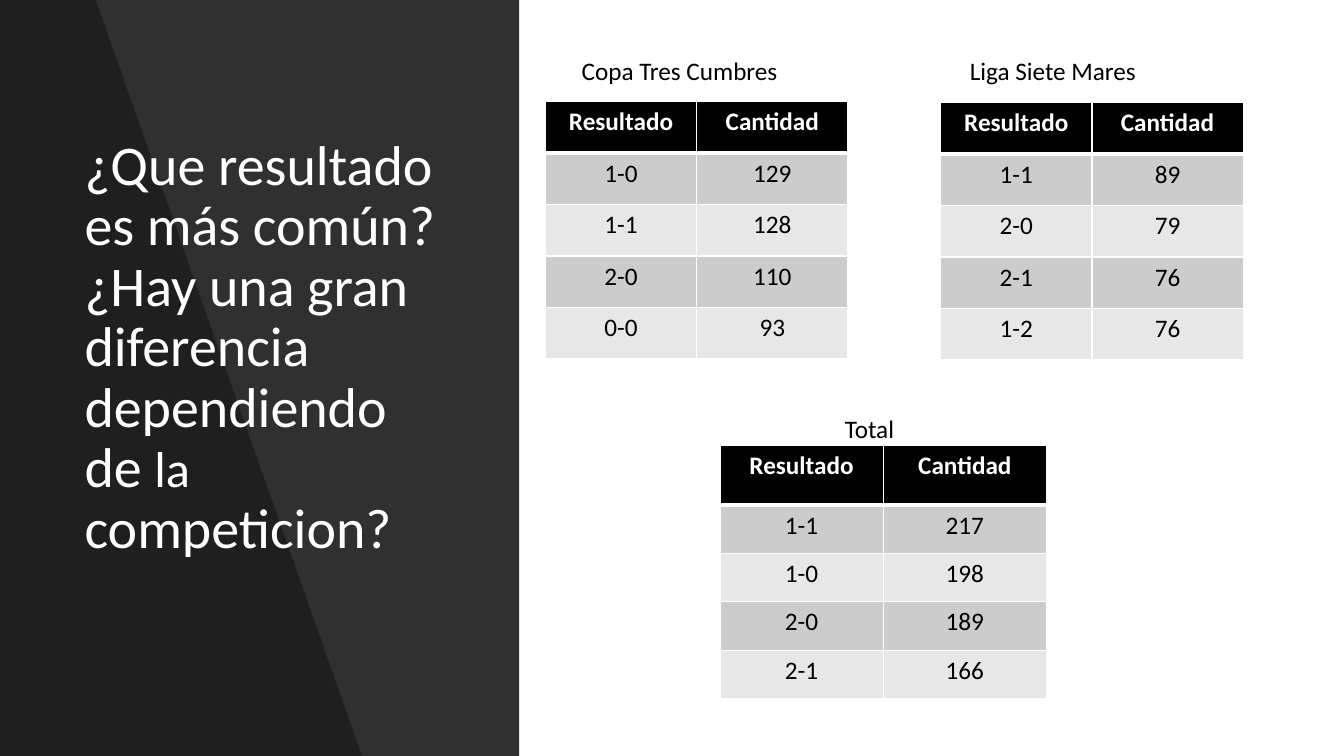
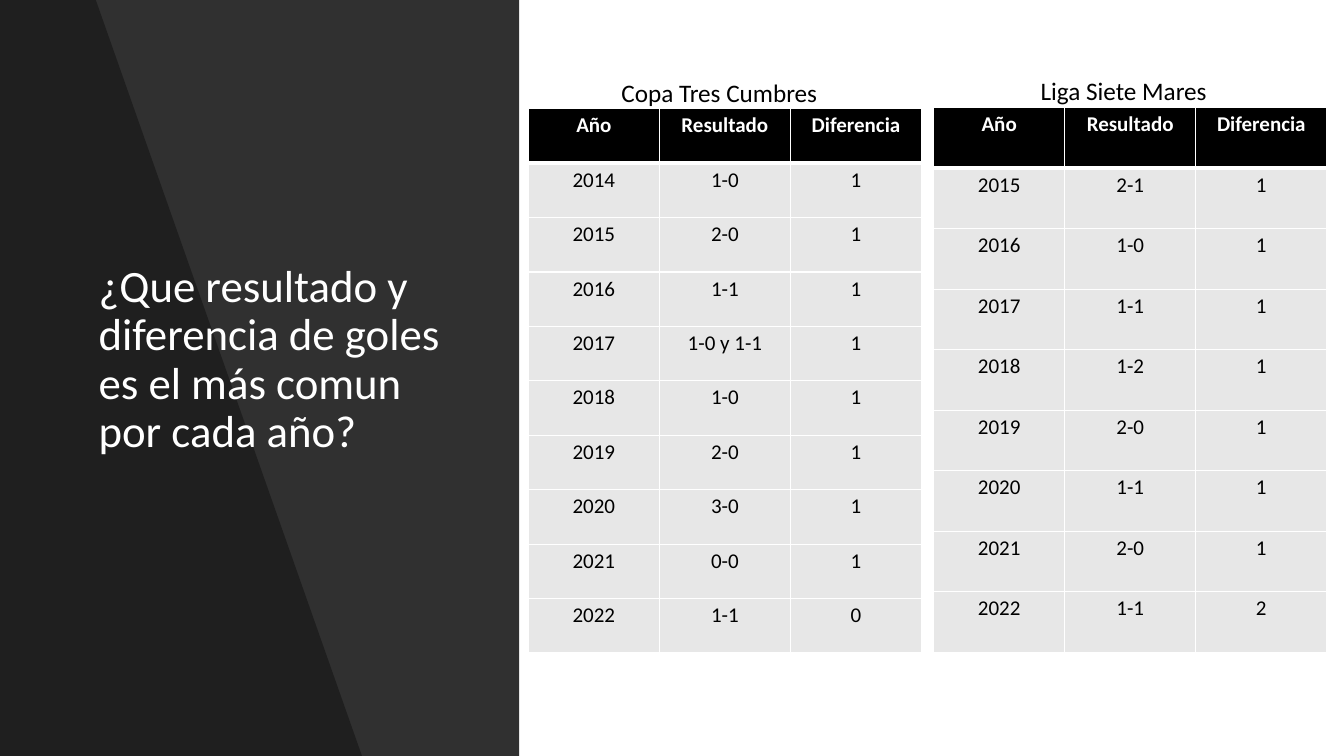
"""Build two slides on the most common football results."""
import dataclasses

import lxml.etree
import pptx
import pptx.dml.color
import pptx.enum.shapes
import pptx.enum.text
import pptx.oxml.ns
import pptx.util

PX = 9144
CUP = "Copa Tres Cumbres"
LEAGUE = "Liga Siete Mares"
RGB = pptx.dml.color.RGBColor.from_string
ALIGN = pptx.enum.text.PP_ALIGN
ANCHOR = pptx.enum.text.MSO_ANCHOR
qn = pptx.oxml.ns.qn


@dataclasses.dataclass(frozen=True)
class Theme:
    """Colours and type sizes of the deck."""
    font: str = "Calibri"
    black: str = "000000"
    white: str = "FFFFFF"
    band_dark: str = "CCCCCC"
    band_light: str = "E7E7E7"
    title: int = 40
    title_small: int = 36
    title_long: int = 32
    body: int = 18
    compact: int = 15
    rule: int = 1
    header_rule: int = 3
    panel_opacity: int = 81
    wedge_opacity: int = 35


def write(tf, text, *, size, color, font, bold=False, align=ALIGN.LEFT, spacing=1.0):
    """Append formatted text to the first paragraph, breaking lines at newlines."""
    p = tf.paragraphs[0]
    p.alignment = align
    p.line_spacing = spacing
    for i, line in enumerate(text.split("\n")):
        if i:
            p.add_line_break()
        r = p.add_run()
        r.text = line
        r.font.name = font
        r.font.size = pptx.util.Pt(size)
        r.font.bold = bold
        r.font.color.rgb = RGB(color)


class Deck:
    """Hold the presentation, its style and the current slide."""

    def __init__(self, width, height, theme):
        """Start an empty presentation of the given size."""
        self.t = theme
        self.width, self.height = width, height
        self.prs = pptx.Presentation()
        self.prs.slide_width = width * PX
        self.prs.slide_height = height * PX
        self.s = None

    def slide(self):
        """Add a slide with the dark side panel."""
        self.s = self.prs.slides.add_slide(self.prs.slide_layouts[6])
        panel = self.s.shapes.add_shape(
            pptx.enum.shapes.MSO_SHAPE.RECTANGLE, 0, 0, 515 * PX, self.height * PX)
        self.shade(panel, self.t.panel_opacity)
        fb = self.s.shapes.build_freeform(0, 0, scale=PX)
        fb.add_line_segments([(95, 0), (359, self.height), (0, self.height)])
        self.shade(fb.convert_to_shape(), self.t.wedge_opacity)

    def shade(self, sp, opacity):
        """Fill a shape with translucent black and no outline."""
        sp.shadow.inherit = False
        sp.line.fill.background()
        sp.fill.solid()
        sp.fill.fore_color.rgb = RGB(self.t.black)
        clr = sp.fill._xPr.find(".//" + qn("a:srgbClr"))
        lxml.etree.SubElement(clr, qn("a:alpha"), val=str(opacity * 1000))

    def text_box(self, x, y, w, h, anchor=ANCHOR.TOP):
        """Add a wrapping text box and return its text frame."""
        tf = self.s.shapes.add_textbox(x * PX, y * PX, w * PX, h * PX).text_frame
        tf.word_wrap = True
        tf.vertical_anchor = anchor
        return tf

    def title(self, x, y, w, h, runs, anchor=ANCHOR.TOP):
        """Add the white title made of (text, size) runs."""
        tf = self.text_box(x, y, w, h, anchor)
        for text, size in runs:
            write(tf, text, size=size, color=self.t.white, font=self.t.font, spacing=0.9)

    def caption(self, x, y, w, text, align=ALIGN.LEFT):
        """Add the name above a table."""
        write(self.text_box(x, y, w, 40), text, size=self.t.body,
              color=self.t.black, font=self.t.font, align=align)

    def borders(self, cell, top, bottom):
        """Draw the white rules around a cell."""
        tc_pr = cell._tc.get_or_add_tcPr()
        widths = {"L": self.t.rule, "R": self.t.rule, "T": top, "B": bottom}
        for i, (side, width) in enumerate(widths.items()):
            ln = lxml.etree.Element(qn("a:ln" + side), w=str(pptx.util.Pt(width)))
            fill = lxml.etree.SubElement(ln, qn("a:solidFill"))
            lxml.etree.SubElement(fill, qn("a:srgbClr"), val=self.t.white)
            tc_pr.insert(i, ln)

    def table(self, x, y, col, row, data, *, size, bands, header=None, inset=(10, 5)):
        """Add a table with a black header and body rows cycling through bands."""
        t = self.t
        heights = [header or row] + [row] * (len(data) - 1)
        cols = len(data[0])
        tbl = self.s.shapes.add_table(len(data), cols, x * PX, y * PX,
                                      cols * col * PX, sum(heights) * PX).table
        tbl.horz_banding = False
        for column in tbl.columns:
            column.width = col * PX
        for i, (values, height) in enumerate(zip(data, heights)):
            tbl.rows[i].height = height * PX
            head = i == 0
            for j, value in enumerate(values):
                cell = tbl.cell(i, j)
                cell.margin_left = cell.margin_right = inset[0] * PX
                cell.margin_top = cell.margin_bottom = inset[1] * PX
                cell.fill.solid()
                cell.fill.fore_color.rgb = RGB(t.black if head else bands[(i - 1) % len(bands)])
                self.borders(cell, t.header_rule if i == 1 else t.rule,
                             t.header_rule if head else t.rule)
                write(cell.text_frame, value, size=size, font=t.font, bold=head,
                      color=t.white if head else t.black, align=ALIGN.CENTER)


def common_results(deck):
    """Build the slide of the most common results."""
    t = deck.t
    deck.slide()
    deck.title(74, 131, 368, 489, [
        ("¿Que resultado es más común?\n¿Hay una gran diferencia dependiendo de ", t.title),
        ("la", t.title_small),
        (" competicion?", t.title)])
    head = ("Resultado", "Cantidad")
    cup = [("1-0", "129"), ("1-1", "128"), ("2-0", "110"), ("0-0", "93")]
    league = [("1-1", "89"), ("2-0", "79"), ("2-1", "76"), ("1-2", "76")]
    total = [("1-1", "217"), ("1-0", "198"), ("2-0", "189"), ("2-1", "166")]
    for name, cap_x, cap_y, x, y, col, row, header, rows in (
            (CUP, 567, 50, 541, 101, 150, 51, 51, cup),
            (LEAGUE, 952, 50, 933, 102, 150, 51, 51, league),
            ("Total", 828, 405, 714, 442, 162, 48, 59, total)):
        deck.table(x, y, col, row, [head] + rows, size=t.body, header=header,
                   bands=(t.band_dark, t.band_light))
        deck.caption(cap_x, cap_y, 248, name)


def results_by_year(deck):
    """Build the slide of the most common result of each year."""
    t = deck.t
    deck.slide()
    deck.title(88, 70, 370, 575, [
        ("¿Que resultado y\ndiferencia de goles\nes el más comun\npor cada año?", t.title_long)],
        anchor=ANCHOR.MIDDLE)
    head = ("Año", "Resultado", "Diferencia")
    cup = (2014, ["1-0", "2-0", "1-1", "1-0 y 1-1", "1-0", "2-0", "3-0", "0-0", "1-1"],
           "111111110")
    league = (2015, ["2-1", "1-0", "1-1", "1-2", "2-0", "1-1", "2-0", "1-1"], "11111112")
    for name, cap_x, cap_y, x, y, row, (first, results, gaps) in (
            (CUP, 525, 72, 524, 108, 54, cup),
            (LEAGUE, 926, 70, 926, 107, 60, league)):
        rows = [(str(first + i), result, gap)
                for i, (result, gap) in enumerate(zip(results, gaps))]
        deck.table(x, y, 130, row, [head] + rows, size=t.compact,
                   bands=(t.band_light,), inset=(8, 4))
        deck.caption(cap_x, cap_y, 377, name, align=ALIGN.CENTER)


def main():
    """Build and save the deck."""
    deck = Deck(1333, 750, Theme())
    common_results(deck)
    results_by_year(deck)
    deck.prs.save("out.pptx")


if __name__ == "__main__":
    main()
